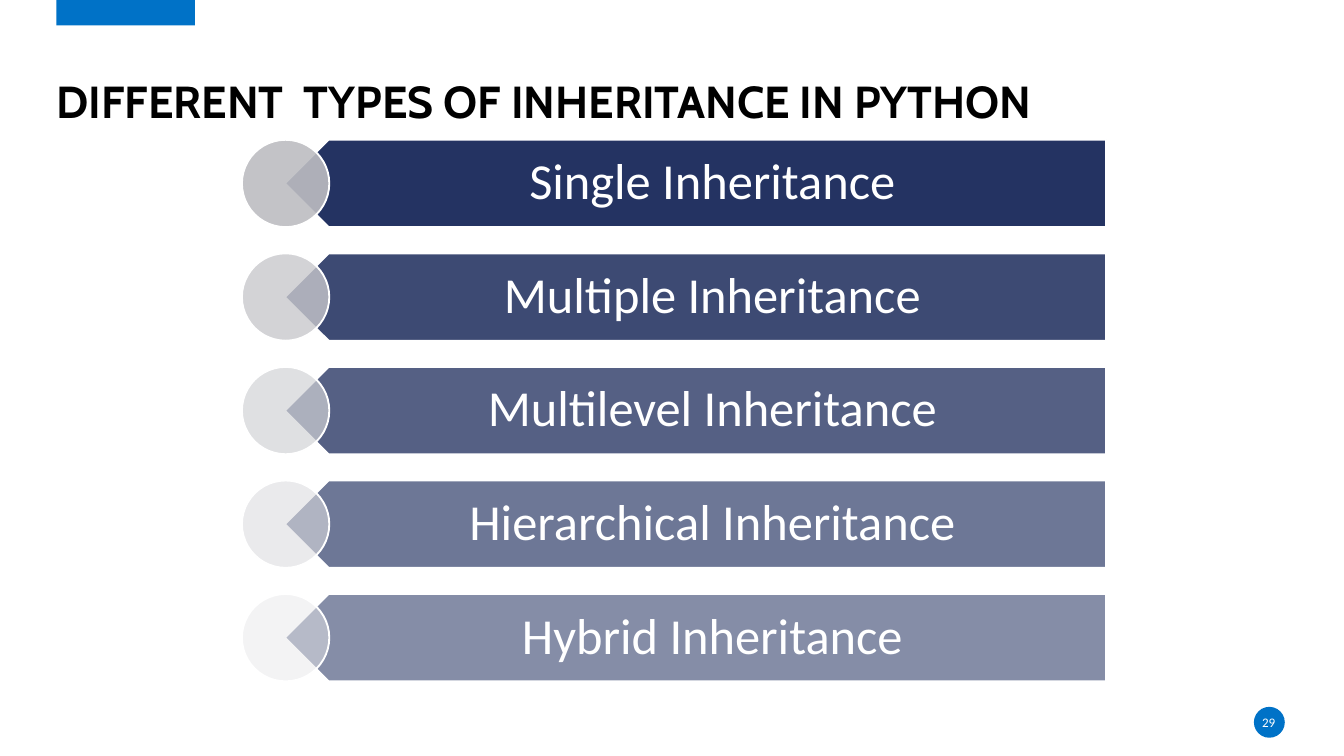
from typing import NamedTuple

from lxml.etree import SubElement
from pptx import Presentation
from pptx.dml.color import RGBColor
from pptx.enum.shapes import MSO_SHAPE as Preset
from pptx.enum.text import MSO_ANCHOR as Anchor, PP_ALIGN as Align
from pptx.oxml.ns import qn
from pptx.util import Inches, Pt

COLOURS = {
    "accent": "0072C7",
    "navy": "0D1D51",
    "black": "000000",
    "white": "FFFFFF",
}


class Box(NamedTuple):
    left: float
    top: float
    width: float
    height: float

    def inches(self) -> list:
        return [Inches(length) for length in self]


class Inheritance(NamedTuple):
    label: str
    disc_colour: str
    opacity: int


class TextStyle(NamedTuple):
    font: dict
    colour: str
    align: Align = Align.CENTER
    anchor: Anchor = Anchor.MIDDLE
    line_spacing: float = 1.0
    insets: tuple = (0, 0, 0, 0)


KINDS = [
    Inheritance("Single Inheritance", "BDBDC2", 90),
    Inheritance("Multiple Inheritance", "C8C8CC", 80),
    Inheritance("Multilevel Inheritance", "D2D3D6", 70),
    Inheritance("Hierarchical Inheritance", "DDDDE0", 60),
    Inheritance("Hybrid Inheritance", "E8E8EA", 50),
]
TITLE_STYLE = TextStyle(
    {"name": "Cabin", "size": Pt(24), "bold": True},
    COLOURS["black"], Align.LEFT, Anchor.BOTTOM, 0.9,
)
LABEL_STYLE = TextStyle(
    {"name": "Calibri", "size": Pt(27)},
    COLOURS["white"], line_spacing=0.9, insets=(0.29, 0.11, 0.21, 0.11),
)
NUMBER_STYLE = TextStyle({"name": "Calibri", "size": Pt(7)}, COLOURS["white"])

SLIDE_WIDTH = 10
SLIDE_HEIGHT = SLIDE_WIDTH * 9 / 16
FIRST_TOP, LAST_TOP = 1.04, 4.42
ROW_STEP = (LAST_TOP - FIRST_TOP) / (len(KINDS) - 1)
ROW_HEIGHT = 0.65


def add_solid(slide, preset: Preset, box: Box, colour: str,
              opacity: int = 100, outlined: bool = False, rotation: int = 0) -> None:
    """Draw a filled preset shape; opacity is a percentage."""
    solid = slide.shapes.add_shape(preset, *box.inches())
    solid.shadow.inherit = False
    solid.rotation = rotation
    solid.fill.solid()
    solid.fill.fore_color.rgb = RGBColor.from_string(colour)
    if opacity < 100:
        fill_colour = solid._element.spPr.find(qn("a:solidFill"))[0]
        SubElement(fill_colour, qn("a:alpha"), val=str(opacity * 1000))
    if outlined:
        solid.line.color.rgb = RGBColor.from_string(COLOURS["white"])
        solid.line.width = Pt(1)
    else:
        solid.line.fill.background()


def add_text(slide, box: Box, wording: str, style: TextStyle) -> None:
    frame = slide.shapes.add_textbox(*box.inches()).text_frame
    frame.word_wrap = True
    frame.vertical_anchor = style.anchor
    for side, inset in zip(("left", "top", "right", "bottom"), style.insets):
        setattr(frame, f"margin_{side}", Inches(inset))
    paragraph = frame.paragraphs[0]
    paragraph.alignment = style.align
    paragraph.line_spacing = style.line_spacing
    run = paragraph.add_run()
    run.text = wording
    for attribute, value in style.font.items():
        setattr(run.font, attribute, value)
    run.font.color.rgb = RGBColor.from_string(style.colour)


def add_kind(slide, kind: Inheritance, top: float) -> None:
    """Draw one row: left-pointing bar, its label and the disc over the tip."""
    add_solid(slide, Preset.PENTAGON, Box(2.12, top, 6.11, ROW_HEIGHT),
              COLOURS["navy"], kind.opacity, outlined=True, rotation=180)
    add_text(slide, Box(2.29, top, 5.94, ROW_HEIGHT), kind.label, LABEL_STYLE)
    add_solid(slide, Preset.OVAL, Box(1.8, top, ROW_HEIGHT, ROW_HEIGHT),
              kind.disc_colour, kind.opacity, outlined=True)


def main() -> None:
    deck = Presentation()
    deck.slide_width, deck.slide_height = Inches(SLIDE_WIDTH), Inches(SLIDE_HEIGHT)
    slide = deck.slides.add_slide(deck.slide_layouts[6])

    add_solid(slide, Preset.RECTANGLE, Box(0.42, -0.01, 1.03, 0.2), COLOURS["accent"])
    add_solid(slide, Preset.OVAL, Box(9.33, 5.26, 0.23, 0.23), COLOURS["accent"])
    add_text(slide, Box(0.42, 0.2, 9.15, 0.75),
             "DIFFERENT  TYPES OF INHERITANCE IN PYTHON", TITLE_STYLE)
    add_text(slide, Box(9.32, 5.3, 0.24, 0.15), "29", NUMBER_STYLE)
    for row, kind in enumerate(KINDS):
        add_kind(slide, kind, FIRST_TOP + row * ROW_STEP)

    deck.save("out.pptx")


if __name__ == "__main__":
    main()
